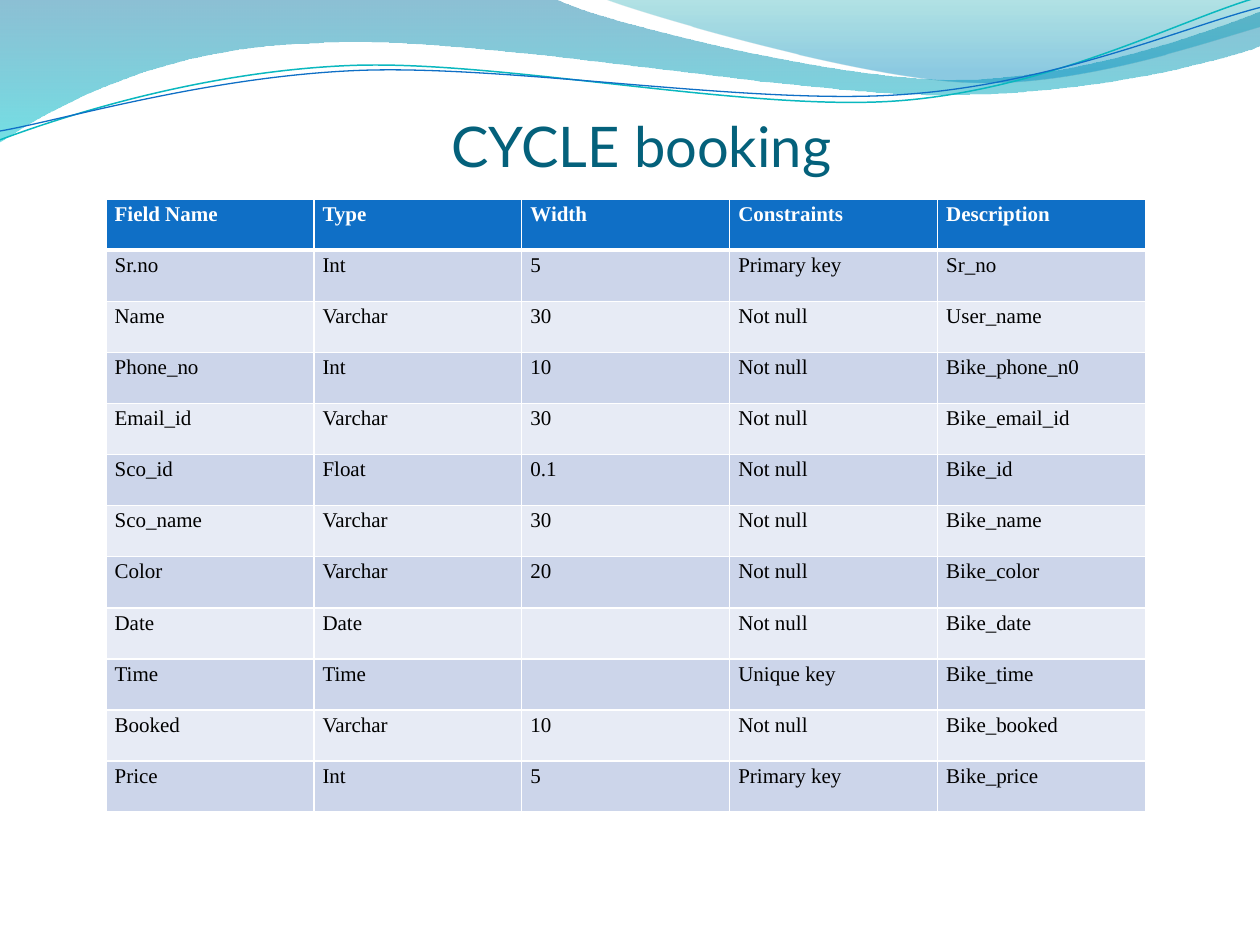
import math
from dataclasses import dataclass

from lxml import etree
from pptx import Presentation
from pptx.dml.color import RGBColor
from pptx.enum.text import MSO_ANCHOR, PP_ALIGN
from pptx.oxml.ns import qn
from pptx.util import Inches, Pt

ANCHOR_BOTTOM = MSO_ANCHOR.BOTTOM
ANCHOR_TOP = MSO_ANCHOR.TOP
ALIGN_LEFT = PP_ALIGN.LEFT
TITLE_ONLY_LAYOUT = 5
CURVE_TILT = -2.7


@dataclass(frozen=True)
class Theme:
    """Colours, fonts and type sizes of the slide."""
    title_font: str = "Lato"
    table_font: str = "Times New Roman"
    title_size: float = 32
    table_size: float = 12
    title: str = "04617B"
    header: str = "0F6FC6"
    header_text: str = "FFFFFF"
    body_text: str = "000000"
    border: str = "FFFFFF"
    bands: tuple = ("CCD5EA", "E7EBF5")
    wide_wave: tuple = ((0, "0074A1", 45), (100, "00C6CF", 55))
    right_wave: tuple = ((0, "00A1A9", 30), (80, "008BBF", 45))
    teal_line: str = "0AB8BF"
    blue_line: str = "0F6FC6"


THEME = Theme()

WIDE_WAVE = [
    [(0, 0)], [(4.4, -0.01)],
    [(4.76, 0.17), (6.64, 0.63), (7.58, 0.63)], [(8.53, 0.63), (9.58, 0.26), (10, 0.09)],
    [(10.01, 0.36)],
    [(9.83, 0.44), (8.7, 0.76), (7.46, 0.75)], [(6.22, 0.75), (3.82, 0.28), (2.57, 0.34)],
    [(1.29, 0.36), (0.46, 0.83), (-0.01, 1.13)], [(0, 0)],
]
RIGHT_WAVE = [
    [(4.79, -0.01)],
    [(5.09, 0.11), (6.82, 0.62), (7.69, 0.65)], [(8.56, 0.69), (9.61, 0.32), (10, 0.21)],
    [(10, 0)], [(4.79, -0.01)],
]
TEAL_CURVE = [
    [(0, 1.11)], [(0.48, 0.93), (1.58, 0.57), (2.77, 0.52)],
    [(3.95, 0.47), (5.93, 0.89), (7.13, 0.8)], [(8.33, 0.71), (9.38, 0.15), (9.98, -0.02)],
]
BLUE_CURVE = [
    [(0, 1.04)], [(0.47, 0.96), (1.64, 0.61), (2.83, 0.56)],
    [(4.03, 0.51), (5.97, 0.84), (7.17, 0.75)], [(8.36, 0.67), (9.41, 0.21), (10, 0.06)],
]

FIELDS = [
    ("Field Name", "Type", "Width", "Constraints", "Description"),
    ("Sr.no", "Int", "5", "Primary key", "Sr_no"),
    ("Name", "Varchar", "30", "Not null", "User_name"),
    ("Phone_no", "Int", "10", "Not null", "Bike_phone_n0"),
    ("Email_id", "Varchar", "30", "Not null", "Bike_email_id"),
    ("Sco_id", "Float", "0.1", "Not null", "Bike_id"),
    ("Sco_name", "Varchar", "30", "Not null", "Bike_name"),
    ("Color", "Varchar", "20", "Not null", "Bike_color"),
    ("Date", "Date", "", "Not null", "Bike_date"),
    ("Time", "Time", "", "Unique key", "Bike_time"),
    ("Booked", "Varchar", "10", "Not null", "Bike_booked"),
    ("Price", "Int", "5", "Primary key", "Bike_price"),
]


def color(value):
    """Turn a hex string into a colour."""
    return RGBColor.from_string(value)


def turn(segments, center, degrees):
    """Rotate the points of all segments clockwise about a center."""
    cosine, sine = math.cos(math.radians(degrees)), math.sin(math.radians(degrees))
    across, down = center
    return [[(across + (x - across) * cosine - (y - down) * sine,
              down + (x - across) * sine + (y - down) * cosine) for x, y in segment]
            for segment in segments]


def add_path(slide, box, segments, closed):
    """Draw straight and cubic segments measured from the corner of the box."""
    left, top = box[:2]
    points = [(Inches(left + x), Inches(top + y)) for segment in segments for x, y in segment]
    builder = slide.shapes.build_freeform(*points[0], scale=1.0)
    builder.add_line_segments(points[1:], close=closed)
    shape = builder.convert_to_shape()
    shape.shadow.inherit = False
    steps = iter(shape.element.spPr.findall(".//" + qn("a:lnTo")))
    for segment in segments[1:]:
        lines = [next(steps) for _ in segment]
        if len(lines) == 3:
            cubic = etree.Element(qn("a:cubicBezTo"))
            lines[0].addprevious(cubic)
            for line in lines:
                cubic.append(line[0])
                line.getparent().remove(line)
    return shape


def add_wave(slide, box, segments, stops):
    """Draw a wave with a translucent gradient from top to bottom."""
    shape = add_path(slide, box, segments, True)
    shape.line.fill.background()
    shape.fill.gradient()
    shape.fill.gradient_angle = 270
    for stop, (position, value, _) in zip(shape.fill.gradient_stops, stops):
        stop.position = position / 100
        stop.color.rgb = color(value)
    tints = shape.element.spPr.findall(".//" + qn("a:srgbClr"))
    for tint, (_, _, opacity) in zip(tints, stops):
        etree.SubElement(tint, qn("a:alpha"), val=str(opacity * 1000))


def add_curve(slide, box, segments, center, value, width):
    """Draw an open curved line in a tilted frame."""
    shape = add_path(slide, box, turn(segments, center, -CURVE_TILT), False)
    shape.rotation = CURVE_TILT
    shape.fill.background()
    shape.line.color.rgb = color(value)
    shape.line.width = Pt(width)


def add_header_waves(slide, box):
    """Place the waves and curved lines along the top."""
    add_wave(slide, box, WIDE_WAVE, THEME.wide_wave)
    add_wave(slide, box, RIGHT_WAVE, THEME.right_wave)
    add_curve(slide, box, TEAL_CURVE, (4.99, 0.58), THEME.teal_line, 0.85)
    add_curve(slide, box, BLUE_CURVE, (5, 0.59), THEME.blue_line, 0.75)


def add_text_run(paragraph, text, font_name, size, value, bold=False):
    """Add one formatted run to a paragraph."""
    run = paragraph.add_run()
    run.text = text
    run.font.name = font_name
    run.font.size = Pt(size)
    run.font.bold = bold
    run.font.color.rgb = color(value)


def place_title(slide, box, text, indent):
    """Move, indent and format the title placeholder."""
    title = slide.shapes.title
    title.left, title.top, title.width, title.height = map(Inches, box)
    frame = title.text_frame
    frame.word_wrap = True
    frame.vertical_anchor = ANCHOR_BOTTOM
    frame.margin_left = frame.margin_right = frame.margin_bottom = 0
    frame.margin_top = Inches(0.05)
    paragraph = frame.paragraphs[0]
    paragraph.alignment = ALIGN_LEFT
    paragraph._p.get_or_add_pPr().set("marL", str(Inches(indent)))
    add_text_run(paragraph, text, THEME.title_font, THEME.title_size, THEME.title)


def set_borders(cell, widths):
    """Give a cell its left, right, top and bottom borders."""
    properties = cell._tc.get_or_add_tcPr()
    for side, width in zip("LRTB", widths):
        line = etree.SubElement(properties, qn("a:ln" + side), w=str(Pt(width)))
        fill = etree.SubElement(line, qn("a:solidFill"))
        etree.SubElement(fill, qn("a:srgbClr"), val=THEME.border)


def fill_cell(cell, text, row):
    """Format one table cell according to its row."""
    is_header = row == 0
    set_borders(cell, (1, 1, 3 if row == 1 else 1, 3 if is_header else 1))
    cell.fill.solid()
    cell.fill.fore_color.rgb = color(THEME.header if is_header else THEME.bands[(row - 1) % 2])
    cell.margin_left = cell.margin_right = Inches(0.07)
    cell.margin_top = cell.margin_bottom = 0
    cell.vertical_anchor = ANCHOR_TOP
    paragraph = cell.text_frame.paragraphs[0]
    paragraph.line_spacing = 1.15
    if text:
        value = THEME.header_text if is_header else THEME.body_text
        add_text_run(paragraph, text, THEME.table_font, THEME.table_size, value, is_header)
    else:
        paragraph.font.size = Pt(THEME.table_size)


def add_field_table(slide, box, rows):
    """Place the table of database fields."""
    table = slide.shapes.add_table(len(rows), len(rows[0]), *map(Inches, box)).table
    for row, texts in enumerate(rows):
        for column, text in enumerate(texts):
            fill_cell(table.cell(row, column), text, row)


def main():
    """Build and save the slide."""
    presentation = Presentation()
    presentation.slide_width, presentation.slide_height = Inches(10), Inches(7.5)
    slide = presentation.slides.add_slide(presentation.slide_layouts[TITLE_ONLY_LAYOUT])
    add_header_waves(slide, (0, 0))
    place_title(slide, (0.5, 0.77, 9.08, 0.65), "CYCLE booking", 3.08)
    add_field_table(slide, (0.84, 1.58, 8.25, 4.87), FIELDS)
    presentation.save("out.pptx")


if __name__ == "__main__":
    main()
